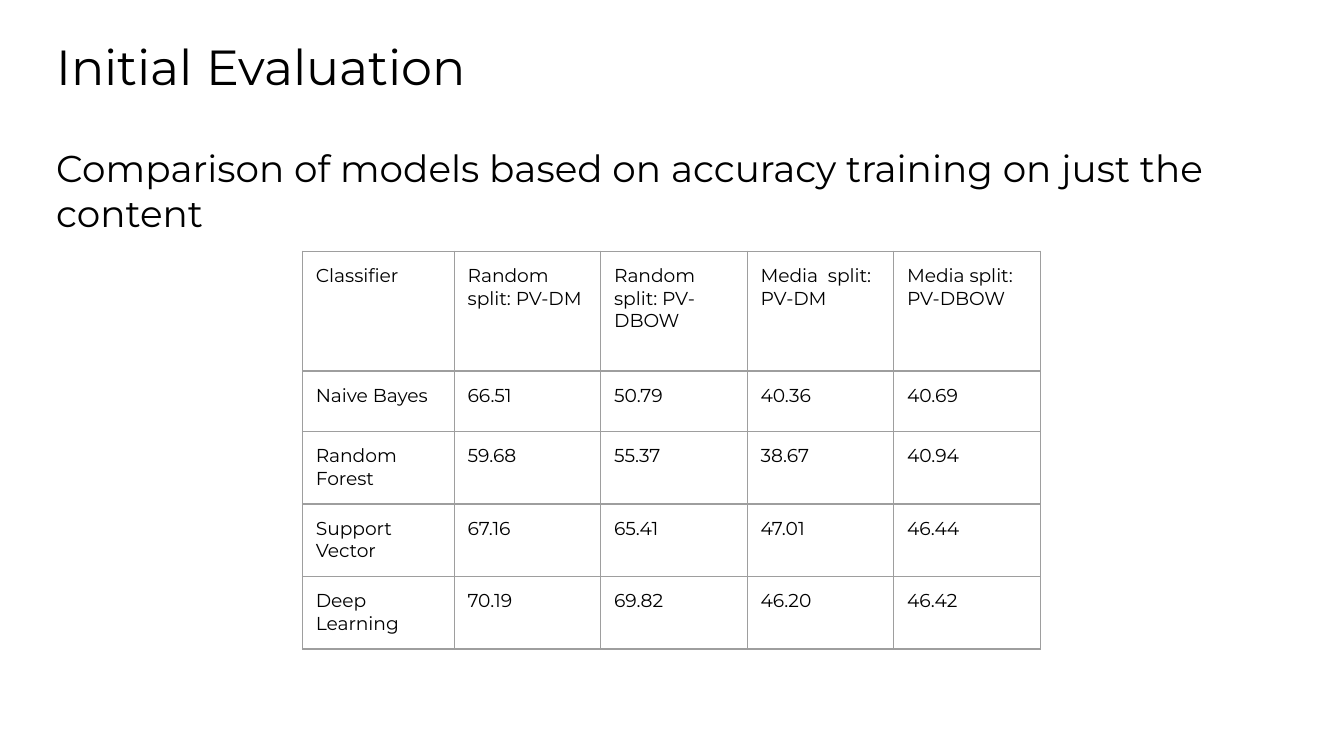
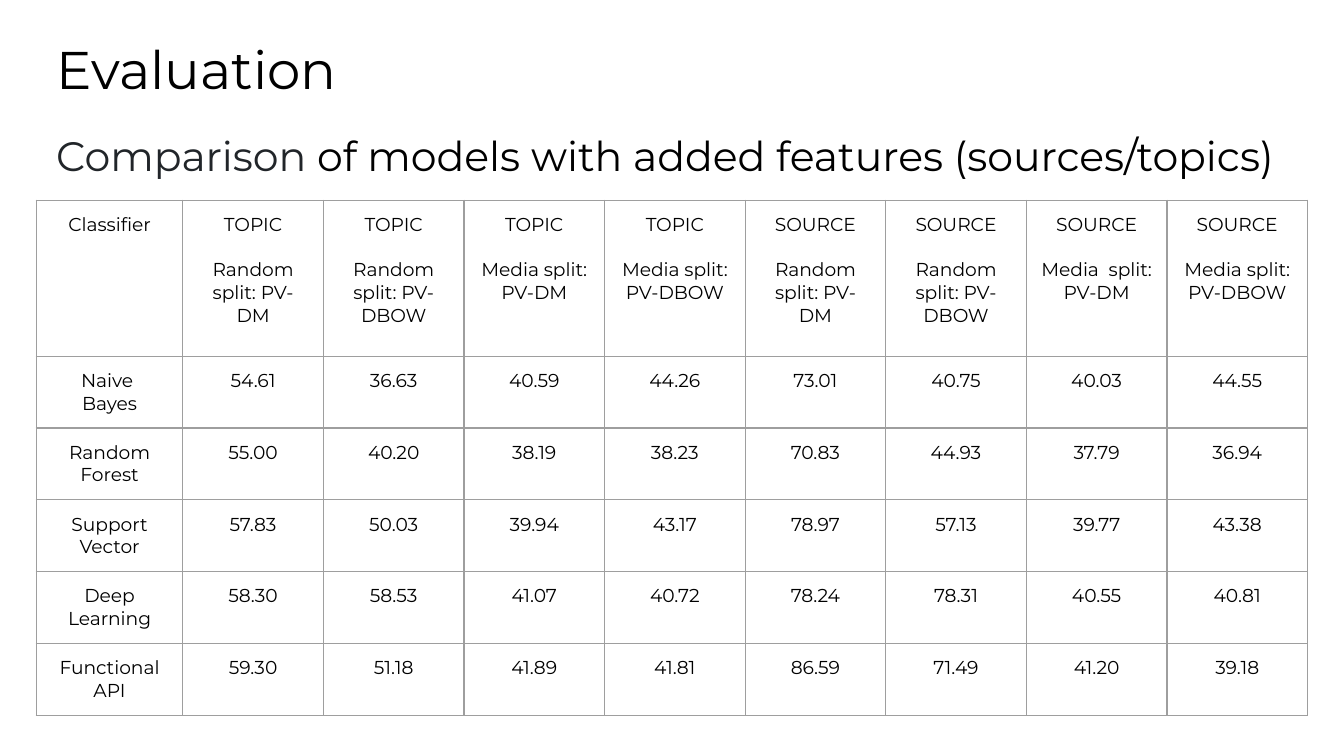
"""Build two slides that compare classifier accuracy."""
import pptx
import pptx.dml.color
import pptx.enum.text
import pptx.oxml
import pptx.oxml.ns
import pptx.util
from pptx.util import Inches

FONT = "Montserrat"
BLACK = "000000"
DARK = "212529"
GREY = "9E9E9E"
LEADING = 1.21
PAD = 0.1
HEAD_BOX = (0.32, 0.17, 9.36, 5.01)
LEFT = pptx.enum.text.PP_ALIGN.LEFT
CENTER = pptx.enum.text.PP_ALIGN.CENTER

SPLITS = ["Random split: PV-DM", "Random split: PV-DBOW",
          "Media split: PV-DM", "Media split: PV-DBOW"]
WIDE = "Media  split: PV-DM"

FIRST = [
    ["Classifier", *SPLITS[:2], WIDE, SPLITS[3]],
    ["Naive Bayes", "66.51", "50.79", "40.36", "40.69"],
    ["Random Forest", "59.68", "55.37", "38.67", "40.94"],
    ["Support Vector", "67.16", "65.41", "47.01", "46.44"],
    ["Deep Learning", "70.19", "69.82", "46.20", "46.42"],
]
SECOND = [
    ["Classifier", *[("TOPIC", split) for split in SPLITS],
     *[("SOURCE", split) for split in [*SPLITS[:2], WIDE, SPLITS[3]]]],
    [("Naive ", "Bayes"), "54.61", "36.63", "40.59", "44.26", "73.01", "40.75", "40.03", "44.55"],
    ["Random Forest", "55.00", "40.20", "38.19", "38.23", "70.83", "44.93", "37.79", "36.94"],
    ["Support Vector", "57.83", "50.03", "39.94", "43.17", "78.97", "57.13", "39.77", "43.38"],
    ["Deep Learning", "58.30", "58.53", "41.07", "40.72", "78.24", "78.31", "40.55", "40.81"],
    ["Functional API", "59.30", "51.18", "41.89", "41.81", "86.59", "71.49", "41.20", "39.18"],
]


def paint(text):
    return pptx.dml.color.RGBColor.from_string(text)


def write(frame, text, size=10, color=BLACK, align=LEFT, gap=0, join=False):
    para = frame.paragraphs[-1]
    if para.runs and not join:
        para = frame.add_paragraph()
    if not join:
        para.alignment = align
        para.space_before = pptx.util.Pt(gap)
    run = para.add_run()
    run.text = text
    run.font.name = FONT
    run.font.size = pptx.util.Pt(size)
    run.font.color.rgb = paint(color)


def inset(part):
    part.margin_left = part.margin_right = Inches(PAD)
    part.margin_top = part.margin_bottom = Inches(PAD)


def rule(cell):
    cell.fill.background()
    props = cell._tc.get_or_add_tcPr()
    for spot, side in enumerate("LRTB"):
        props.insert(spot, pptx.oxml.parse_xml(
            f'<a:ln{side} {pptx.oxml.ns.nsdecls("a")} w="{pptx.util.Pt(0.75)}">'
            f'<a:solidFill><a:srgbClr val="{GREY}"/></a:solidFill></a:ln{side}>'))


def heading(slide, box, title, size, blank, parts, small):
    shape = slide.shapes.add_textbox(*map(Inches, box))
    frame = shape.text_frame
    frame.word_wrap = True
    frame.vertical_anchor = pptx.enum.text.MSO_ANCHOR.TOP
    inset(frame)
    write(frame, title, size=size)
    for spot, (text, color) in enumerate(parts):
        write(frame, text, size=small, color=color,
              gap=round(blank * LEADING, 1), join=spot > 0)


def grid(slide, left, top, widths, heights, rows, align=LEFT, gap=0):
    box = (left, top, sum(widths), sum(heights))
    table = slide.shapes.add_table(len(rows), len(widths), *map(Inches, box)).table
    table.first_row = table.horz_banding = False
    for column, width in zip(table.columns, widths):
        column.width = Inches(width)
    for line, height, texts in zip(table.rows, heights, rows):
        line.height = Inches(height)
        for cell, text in zip(line.cells, texts):
            inset(cell)
            rule(cell)
            lines = [text] if isinstance(text, str) else text
            for spot, piece in enumerate(lines):
                space = gap if spot and texts is rows[0] else 0
                write(cell.text_frame, piece, align=align, gap=space)


def main():
    deck = pptx.Presentation()
    deck.slide_width = Inches(10)
    deck.slide_height = deck.slide_width * 9 // 16
    blank = deck.slide_layouts[6]

    slide = deck.slides.add_slide(blank)
    heading(slide, HEAD_BOX, "Initial Evaluation", 26.4, 22,
            [("Comparison of models based on accuracy training on just the content", BLACK)], 20)
    grid(slide, 2.25, 1.87, [1.13] + [1.09] * 4, [0.89, 0.45] + [0.54] * 3, FIRST)

    slide = deck.slides.add_slide(blank)
    heading(slide, HEAD_BOX, "Evaluation", 28.4, 13.4,
            [("Comparison", DARK),
             (" of models with added features (sources/topics)", BLACK)], 22)
    grid(slide, 0.27, 1.49, [1.09] + [8.37 / 8] * 8,
         [1.16, 0.32, 0.43] + [0.41] * 3, SECOND, align=CENTER, gap=10 * LEADING)

    deck.save("out.pptx")


if __name__ == "__main__":
    main()
